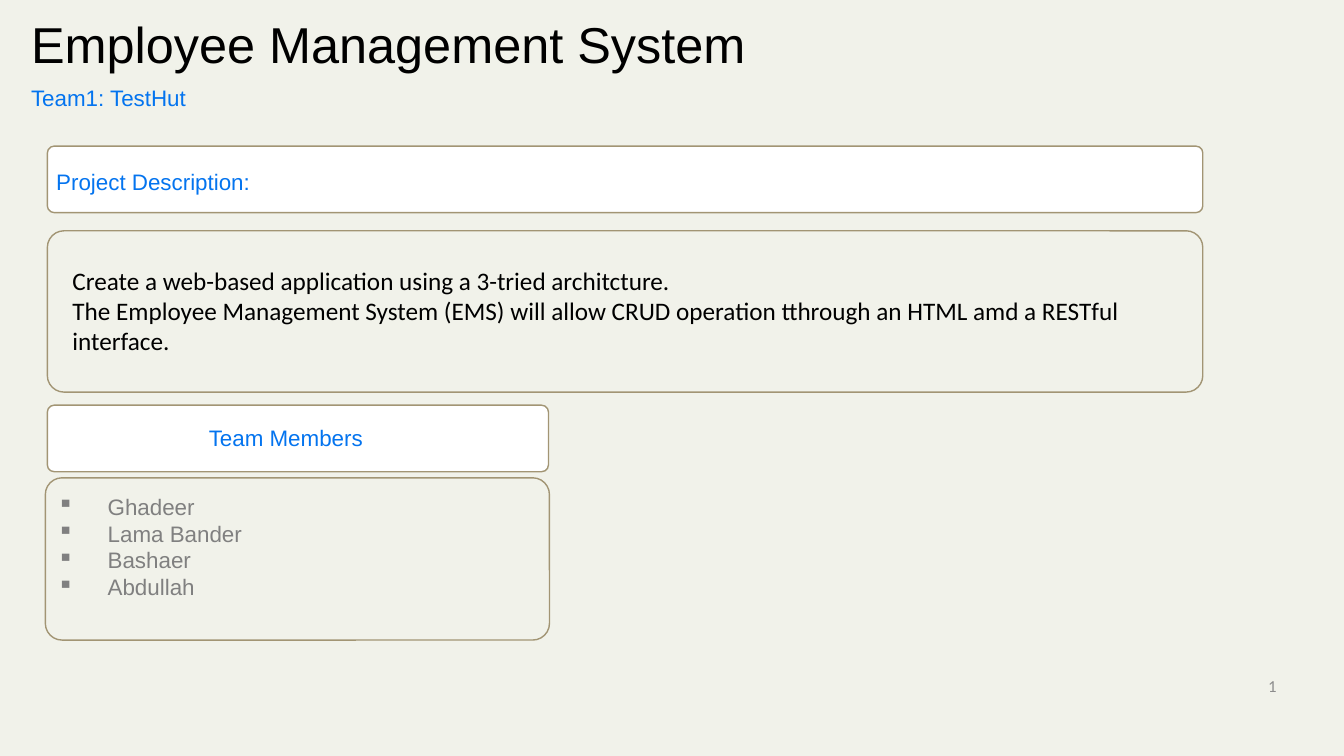
import pptx
import pptx.dml.color
import pptx.enum.shapes
import pptx.enum.text
import pptx.oxml
import pptx.util
from pptx.util import Inches

INK, BLUE, GRAY, TAN = "000000", "0474EF", "808080", "A29574"
ALIGN = pptx.enum.text.PP_ALIGN
ANCHOR = pptx.enum.text.MSO_ANCHOR


def color(value):
    return pptx.dml.color.RGBColor.from_string(value)


def add_bullet(paragraph, character, indent):
    """Give the paragraph a bullet with a hanging indent in inches."""
    properties = paragraph._p.get_or_add_pPr()
    properties.set("marL", str(Inches(indent)))
    properties.set("indent", str(-Inches(indent)))
    bullet = pptx.oxml.parse_xml(
        '<a:buChar xmlns:a="http://schemas.openxmlformats.org/drawingml/2006/main" '
        f'char="{character}"/>')
    properties.append(bullet)


class SlideBuilder:
    """Holds the slide and the style shared by its elements."""

    def __init__(self, presentation, background):
        self.slide = presentation.slides.add_slide(presentation.slide_layouts[6])
        self.slide.background.fill.solid()
        self.slide.background.fill.fore_color.rgb = color(background)

    def text(self, lines, left, top, width, height, size=16, font="Arial", ink=BLUE,
             align=ALIGN.LEFT, anchor=ANCHOR.TOP, line_spacing=None, spacing=0, bullet=None):
        shape = self.slide.shapes.add_textbox(*map(Inches, (left, top, width, height)))
        frame = shape.text_frame
        frame.word_wrap = True
        frame.vertical_anchor = anchor
        frame.text = lines
        for paragraph in frame.paragraphs:
            paragraph.alignment = align
            paragraph.line_spacing = line_spacing
            paragraph.space_before = paragraph.space_after = pptx.util.Pt(spacing)
            paragraph.font.size = pptx.util.Pt(size)
            for run in paragraph.runs:
                run.font.size = pptx.util.Pt(size)
                run.font.name = font
                run.font.color.rgb = color(ink)
            if bullet:
                add_bullet(paragraph, bullet, 0.5)

    def panel(self, left, top, width, height, fill=None):
        shape = self.slide.shapes.add_shape(
            pptx.enum.shapes.MSO_SHAPE.ROUNDED_RECTANGLE,
            *map(Inches, (left, top, width, height)))
        shape.shadow.inherit = False
        shape.adjustments[0] = 0.103
        shape.line.color.rgb = color(TAN)
        shape.line.width = pptx.util.Pt(1)
        if fill:
            shape.fill.solid()
            shape.fill.fore_color.rgb = color(fill)
        else:
            shape.fill.background()


def main():
    presentation = pptx.Presentation()
    presentation.slide_width = Inches(13.33)
    presentation.slide_height = Inches(7.5)
    builder = SlideBuilder(presentation, "F1F2EA")

    builder.text("Employee Management System", 0.21, 0.15, 12.19, 1.31,
                 size=36, ink=INK, line_spacing=0.9)
    builder.text("Team1: TestHut", 0.21, 0.79, 9.61, 0.37)

    builder.panel(0.47, 1.45, 11.46, 0.66, fill="FFFFFF")
    builder.text("Project Description:", 0.46, 1.62, 11.63, 0.37,
                 align=ALIGN.JUSTIFY, spacing=2.9)
    builder.panel(0.47, 2.29, 11.46, 1.6)
    builder.text("Create a web-based application using a 3-tried architcture.\n"
                 "The Employee Management System (EMS) will allow CRUD operation "
                 "tthrough an HTML amd a RESTful interface.",
                 0.62, 2.58, 10.88, 1.01, size=18, font="Calibri", ink=INK)

    builder.panel(0.47, 4.02, 4.97, 0.66, fill="FFFFFF")
    builder.text("Team Members", 0.83, 4.16, 4.01, 0.37, align=ALIGN.CENTER, spacing=2.9)
    builder.panel(0.45, 4.74, 5, 1.61)
    builder.text("Ghadeer\nLama Bander\nBashaer\nAbdullah", 0.47, 4.84, 4.8, 1.18,
                 ink=GRAY, bullet="▪")

    builder.text("1", 9.76, 6.6, 3, 0.4, size=12, font="Calibri", ink="8C8C8C",
                 align=ALIGN.RIGHT, anchor=ANCHOR.MIDDLE)
    presentation.save("out.pptx")


if __name__ == "__main__":
    main()
